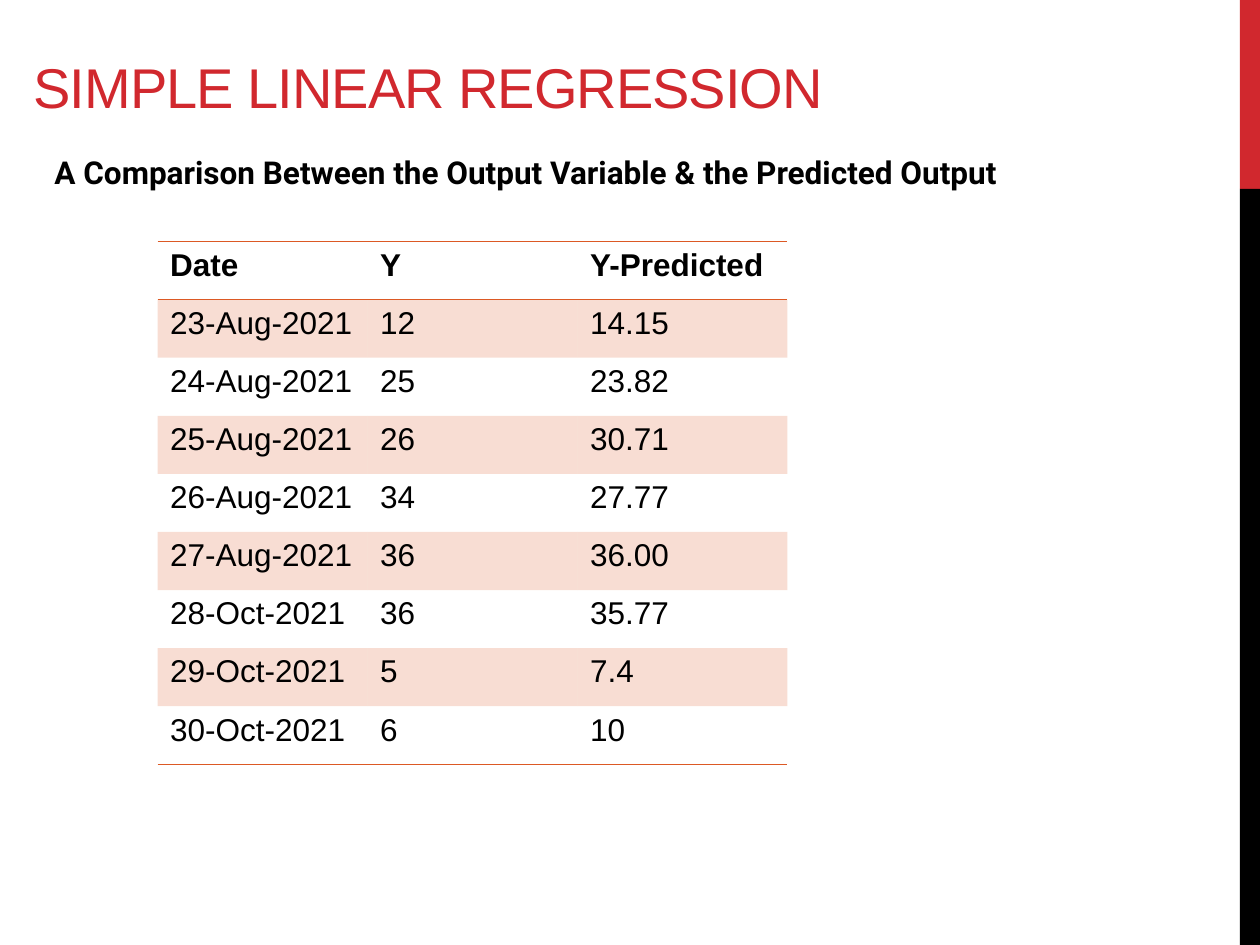
from dataclasses import dataclass

from lxml import etree
from pptx import Presentation
from pptx import util as u
from pptx.dml.color import RGBColor
from pptx.enum import shapes, text
from pptx.oxml.ns import qn

HEADER = ("Date", "Y", "Y-Predicted")
ROWS = [
    ("23-Aug-2021", "12", "14.15"),
    ("24-Aug-2021", "25", "23.82"),
    ("25-Aug-2021", "26", "30.71"),
    ("26-Aug-2021", "34", "27.77"),
    ("27-Aug-2021", "36", "36.00"),
    ("28-Oct-2021", "36", "35.77"),
    ("29-Oct-2021", "5", "7.4"),
    ("30-Oct-2021", "6", "10"),
]
PLAIN_TABLE = "{2D5ABB26-0587-4C30-8999-92F81FD0307C}"


@dataclass(frozen=True)
class Theme:
    red: str = "D1282E"
    black: str = "000000"
    orange: str = "DC5924"
    band_opacity: int = 20
    font: str = "Arial"
    subtitle_font: str = "Roboto"
    title_size: int = 32
    text_size: int = 18
    rule_width: int = 1
    title_spacing: float = -0.6


class Deck:
    """Places elements on a grid of 60 columns by 45 rows."""

    COLS, GRID_ROWS = 60, 45

    def __init__(self, theme):
        self.theme = theme
        self.prs = Presentation()
        self.prs.slide_width, self.prs.slide_height = u.Inches(10), u.Inches(7.5)
        self.slide = self.prs.slides.add_slide(self.prs.slide_layouts[5])

    def box(self, col, row, cols, rows):
        x = self.prs.slide_width / self.COLS
        y = self.prs.slide_height / self.GRID_ROWS
        return [int(v) for v in (col * x, row * y, cols * x, rows * y)]

    def add_words(self, tf, words, color, align=None, **font):
        p = tf.paragraphs[0]
        p.alignment = align
        r = p.add_run()
        r.text = words
        values = {"name": self.theme.font, "size": u.Pt(self.theme.text_size), "bold": False}
        for name, value in {**values, **font}.items():
            setattr(r.font, name, value)
        r.font.color.rgb = RGBColor.from_string(color)
        return r

    def bar(self, color, *place):
        sp = self.slide.shapes.add_shape(shapes.MSO_SHAPE.RECTANGLE, *self.box(*place))
        sp.shadow.inherit = False
        sp.fill.solid()
        sp.fill.fore_color.rgb = RGBColor.from_string(color)
        sp.line.fill.background()

    def title(self, words, *place):
        sp = self.slide.shapes.title
        sp.left, sp.top, sp.width, sp.height = self.box(*place)
        tf = sp.text_frame
        tf.auto_size = text.MSO_AUTO_SIZE.NONE
        tf.vertical_anchor = text.MSO_ANCHOR.BOTTOM
        r = self.add_words(tf, words, self.theme.red, text.PP_ALIGN.JUSTIFY,
                           size=u.Pt(self.theme.title_size))
        r.font._element.set("spc", str(round(self.theme.title_spacing * 100)))

    def subtitle(self, words, *place):
        tf = self.slide.shapes.add_textbox(*self.box(*place)).text_frame
        tf.word_wrap = True
        tf.auto_size = text.MSO_AUTO_SIZE.SHAPE_TO_FIT_TEXT
        self.add_words(tf, words, self.theme.black, text.PP_ALIGN.JUSTIFY,
                       name=self.theme.subtitle_font, bold=True)

    def rule(self, cell, *sides):
        """Draw the named cell borders; they must precede the fill in the XML."""
        tc_pr = cell._tc.get_or_add_tcPr()
        for i, side in enumerate(sides):
            ln = etree.Element(qn(f"a:ln{side}"), w=str(u.Pt(self.theme.rule_width)))
            fill = etree.SubElement(ln, qn("a:solidFill"))
            etree.SubElement(fill, qn("a:srgbClr"), val=self.theme.orange)
            tc_pr.insert(i, ln)

    def band(self, cell):
        cell.fill.solid()
        cell.fill.fore_color.rgb = RGBColor.from_string(self.theme.orange)
        color = cell._tc.tcPr.find(f".//{qn('a:srgbClr')}")
        etree.SubElement(color, qn("a:alpha"), val=str(self.theme.band_opacity * 1000))

    def table(self, header, rows, *place):
        data = [header, *rows]
        left, top, width, height = self.box(*place)
        frame = self.slide.shapes.add_table(len(data), len(header), left, top, width, height)
        table = frame.table
        table._tbl.tblPr.find(qn("a:tableStyleId")).text = PLAIN_TABLE
        for i, values in enumerate(data):
            for cell, value in zip(table.rows[i].cells, values):
                self.add_words(cell.text_frame, value, self.theme.black, bold=i == 0)
                if i % 2:
                    self.band(cell)
                else:
                    cell.fill.background()
                if i == 0:
                    self.rule(cell, "T", "B")
                elif i == len(rows):
                    self.rule(cell, "B")


def main():
    theme = Theme()
    deck = Deck(theme)
    deck.bar(theme.red, 59.04, 0, 0.96, 9)
    deck.bar(theme.black, 59.04, 9, 0.96, 36)
    deck.title("SIMPLE LINEAR REGRESSION", 1, 2, 55, 4)
    deck.table(HEADER, ROWS, 7.5, 11.5, 30, 24.9)
    deck.subtitle("A Comparison Between the Output Variable & the Predicted Output",
                  2, 7, 53.5, 2.4)
    deck.prs.save("out.pptx")


if __name__ == "__main__":
    main()
